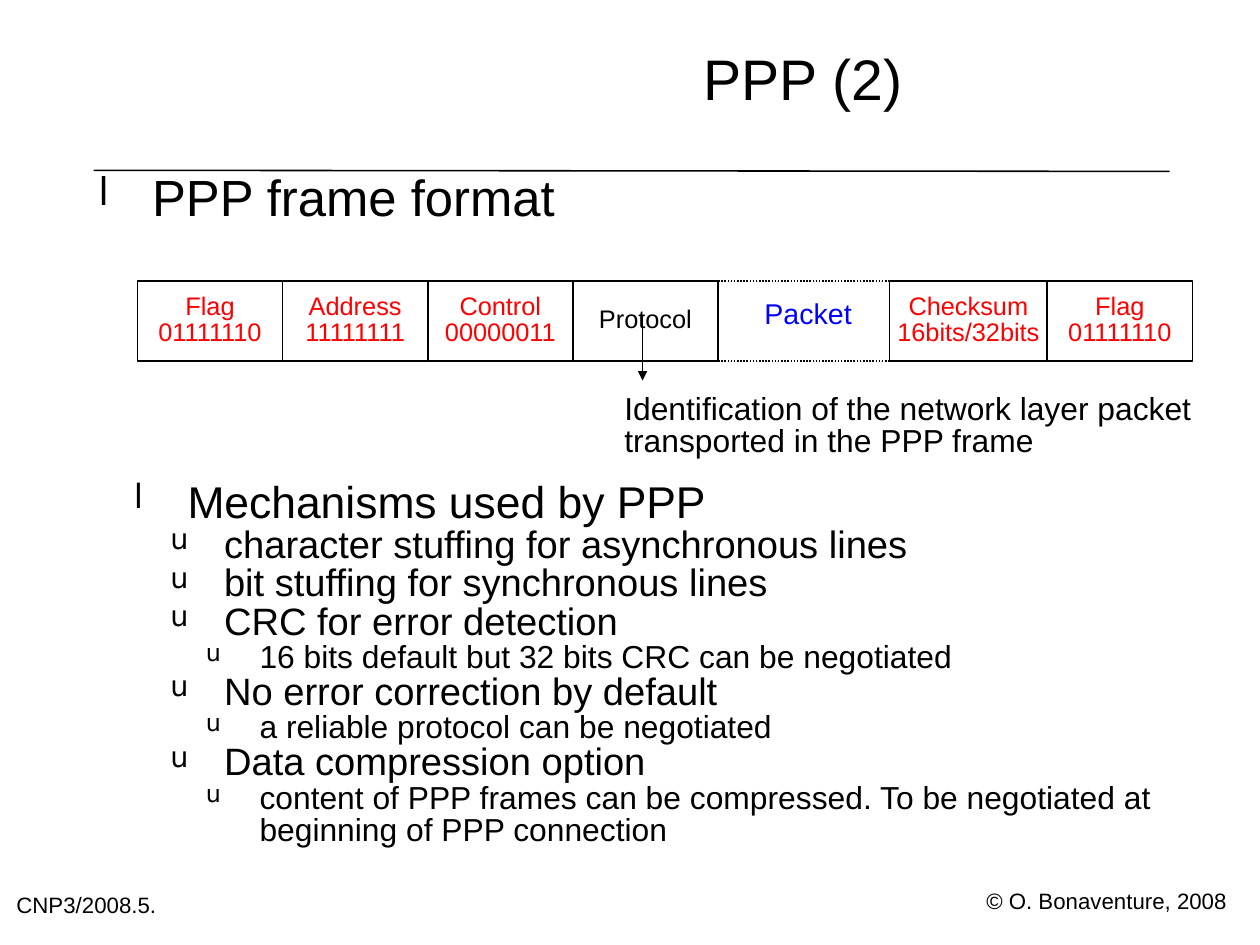
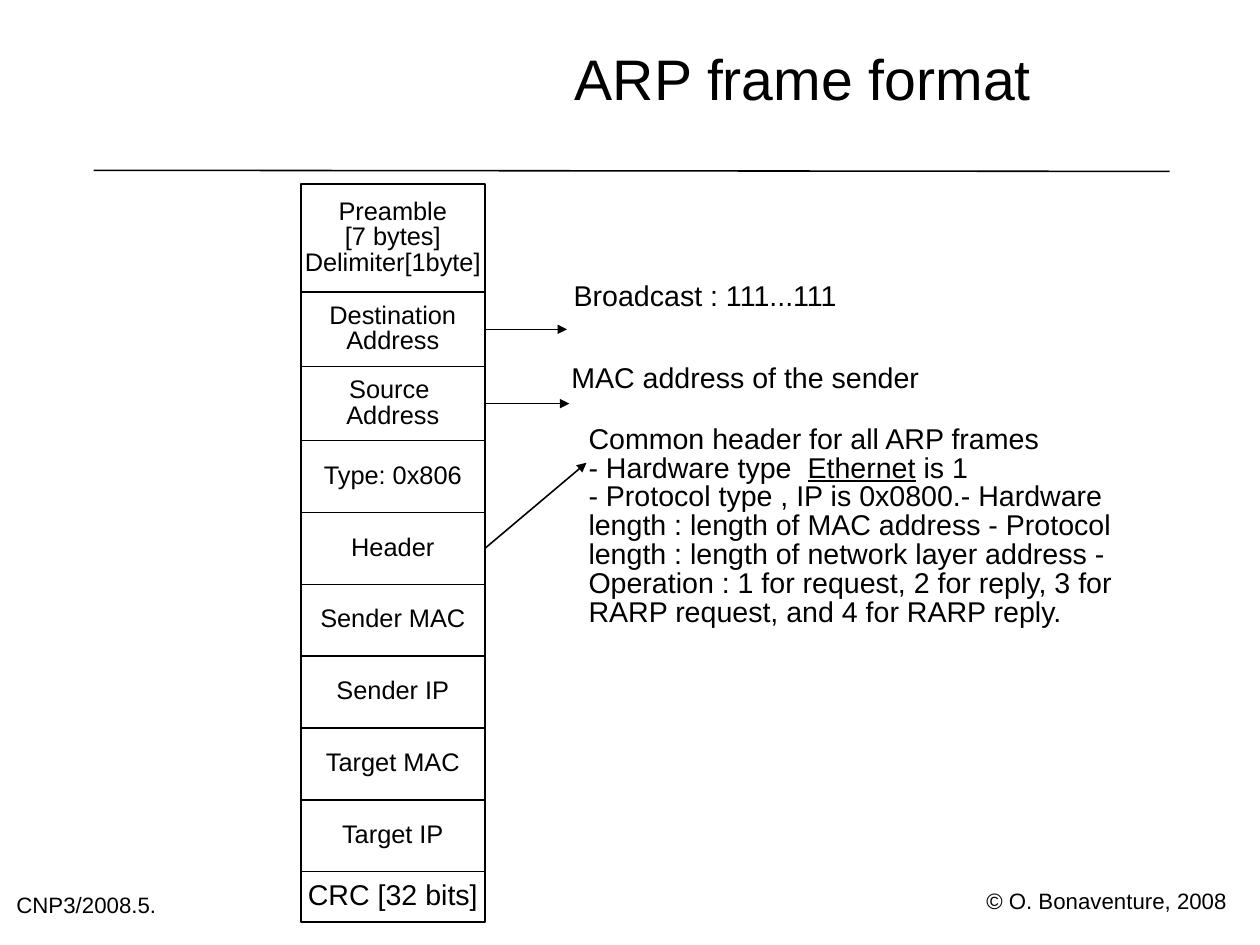
from lxml import etree
from pptx import Presentation
from pptx import util as u
from pptx.dml.color import RGBColor
from pptx.enum import dml, shapes, text
from pptx.oxml.ns import qn

BLACK = RGBColor(0, 0, 0)
RED = RGBColor(255, 0, 0)
BLUE = RGBColor(0, 0, 255)
FONT = "Arial"
LEAD = 0.84
LEFT, MID = text.PP_ALIGN.LEFT, text.PP_ALIGN.CENTER

deck = Presentation()
deck.slide_width = u.Emu(10080625)
deck.slide_height = u.Emu(7559675)
COL = deck.slide_width / 100
ROW = deck.slide_height / 100


def put(page, x, y, wide, high, words, size, color=BLACK, align=LEFT, framed=False):
    area = [int(x * COL), int(y * ROW), int(wide * COL), int(high * ROW)]
    if framed:
        box = page.shapes.add_shape(shapes.MSO_SHAPE.RECTANGLE, *area)
        box.shadow.inherit = False
        box.fill.background()
        box.line.color.rgb = BLACK
        box.line.width = u.Pt(1)
    else:
        box = page.shapes.add_textbox(*area)
    frame = box.text_frame
    frame.word_wrap = True
    frame.margin_left = frame.margin_right = frame.margin_top = frame.margin_bottom = 0
    centred = align == MID
    frame.vertical_anchor = text.MSO_ANCHOR.MIDDLE if centred else text.MSO_ANCHOR.TOP
    frame.text = words
    for para in frame.paragraphs:
        para.alignment = align
        para.line_spacing = LEAD
        for run in para.runs:
            run.font.name = FONT
            run.font.size = u.Pt(size)
            run.font.color.rgb = color
    return box


def link(page, x, y, to_x, to_y, arrow=False, dash=None):
    line = page.shapes.add_connector(
        shapes.MSO_CONNECTOR.STRAIGHT,
        int(x * COL), int(y * ROW), int(to_x * COL), int(to_y * ROW))
    line.line.color.rgb = BLACK
    line.line.width = u.Pt(1)
    if dash:
        line.line.dash_style = dash
    if arrow:
        etree.SubElement(line.line._get_or_add_ln(), qn("a:tailEnd"), type="triangle")
    etree.SubElement(line._element.spPr, qn("a:effectLst"))
    return line


pages = []
for title in ["PPP (2)", "ARP frame format"]:
    page = deck.slides.add_slide(deck.slide_layouts[6])
    link(page, 7.44, 18.02, 92.83, 18.14)
    put(page, 78.28, 94.4, 20.5, 2.9, "© O. Bonaventure, 2008", 14)
    put(page, 1.3, 94.8, 15.25, 2.9, "CNP3/2008.5.", 14)
    put(page, 33.83, 0, 59.8, 17.65, title, 36, align=MID)
    pages.append(page)
ppp, arp = pages

INDENTS = [0.55, 0.86, 1.18, 1.49]
points = [
    (0, "PPP frame format"),
    (1, "Mechanisms used by PPP"),
    (2, "character stuffing for asynchronous lines"),
    (2, "bit stuffing for synchronous lines"),
    (2, "CRC for error detection"),
    (3, "16 bits default but 32 bits CRC can be negotiated"),
    (2, "No error correction by default"),
    (3, "a reliable protocol can be negotiated"),
    (2, "Data compression option"),
    (3, "content of PPP frames can be compressed. To be negotiated at beginning of PPP connection"),
]
body = put(ppp, 7.08, 18.62, 88.02, 81.26, "\n".join(line for _, line in points), 32)
for para, (level, _) in zip(body.text_frame.paragraphs, points):
    para.level = level
    props = para._p.get_or_add_pPr()
    props.set("marL", str(u.Inches(INDENTS[level])))
    props.set("indent", str(u.Inches(-0.47)))
    tint = etree.SubElement(props, qn("a:buClr"))
    etree.SubElement(tint, qn("a:srgbClr"), val=str(BLACK))
    etree.SubElement(props, qn("a:buSzPct"), val="75000")
    etree.SubElement(props, qn("a:buChar"), char="l" if level < 2 else "u")
    para.runs[0].font.size = u.Pt(32 - 4 * level)
body.text_frame.paragraphs[1].space_before = u.Pt(161)

TOP, HIGH = 29.72, 8.46
fields = [
    ("Flag\n01111110", 11.52, RED),
    ("Address\n11111111", 11.52, RED),
    ("Control\n00000011", 11.52, RED),
    ("Protocol", 11.52, BLACK),
    ("Packet", 13.61, BLUE),
    ("Checksum\n16bits/32bits", 12.52, RED),
    ("Flag\n01111110", 11.52, RED),
]
x = 10.91
for name, wide, color in fields:
    if name == "Packet":
        for y in (TOP, TOP + HIGH):
            link(ppp, x, y, x + wide, y, dash=dml.MSO_LINE.ROUND_DOT)
        put(ppp, 60.67, 31.92, 8, 3.75, name, 18, color)
    else:
        put(ppp, x, TOP, wide, HIGH, name, 16, color, MID, True)
    x += wide
link(ppp, 51, 33.37, 51, 40.27, arrow=True)
put(ppp, 49.55, 41.78, 47, 6.77,
    "Identification of the network layer packet\ntransported in the PPP frame", 20)

parts = [
    ("Preamble\n[7 bytes]\nDelimiter[1byte]", 11.45),
    ("Destination\nAddress", 7.86),
    ("Source \nAddress", 7.86),
    ("Type: 0x806", 7.6),
    ("Header", 7.6),
    ("Sender MAC", 7.6),
    ("Sender IP", 7.6),
    ("Target MAC", 7.6),
    ("Target IP", 7.6),
    ("CRC [32 bits]", 5.32),
]
cells = []
y = 19.47
for name, high in parts:
    size = 18 if name.startswith("CRC") else 16
    cells.append(put(arp, 23.87, y, 14.61, high, name, size, BLACK, MID, True))
    y += high

for cell, to_x, to_y in [(1, 45.01, 34.85), (2, 45.19, 42.71), (4, 46.55, 48.97)]:
    line = link(arp, 38.48, to_y, to_x, to_y, arrow=True)
    line.begin_connect(cells[cell], 3)

put(arp, 45.53, 29.99, 30, 3.75, "Broadcast : 111...111", 18)
put(arp, 45.35, 38.69, 43.19, 3.75, "MAC address of the sender", 18)
lines = [
    "Common header for all ARP frames",
    "- Hardware type  \vEthernet\v is 1",
    "- Protocol type , IP is 0x0800.- Hardware length : length of MAC address"
    " - Protocol length : length of network layer address - Operation : 1 for request,"
    " 2 for reply, 3 for RARP request, and 4 for RARP reply.",
]
note = put(arp, 46.71, 45.1, 43.19, 25.51, "\n".join(lines), 18)
kind = note.text_frame.paragraphs[1]
for gap in kind._p.findall(qn("a:br")):
    kind._p.remove(gap)
kind.runs[1].font.underline = True

deck.save("out.pptx")
